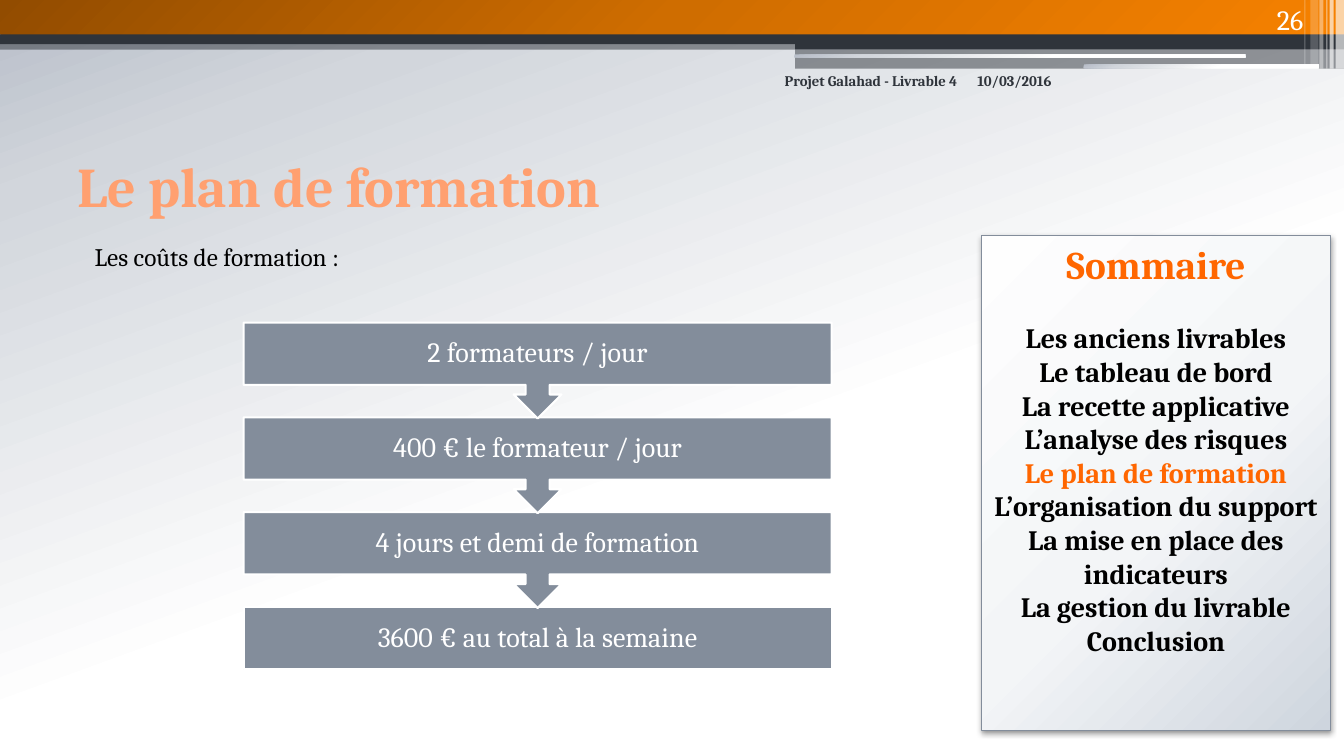
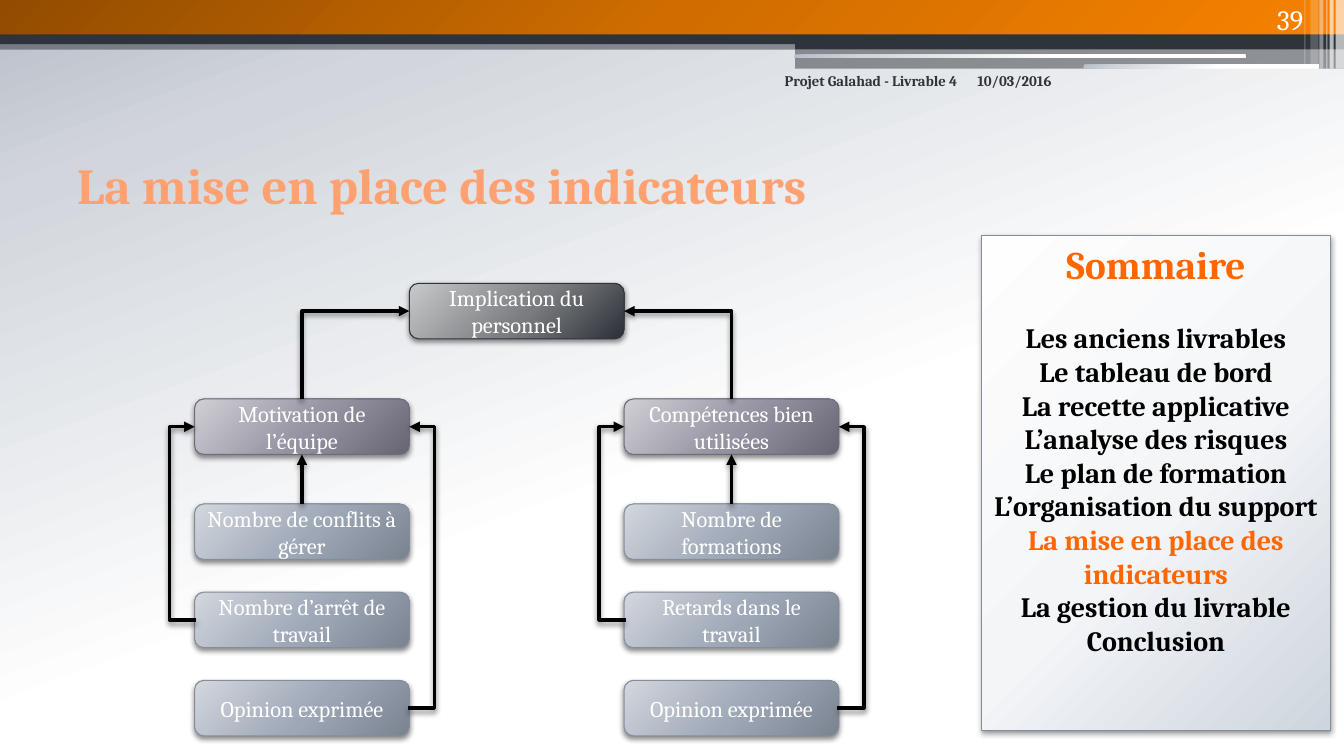
import dataclasses

import lxml.etree
import pptx
import pptx.dml.color
import pptx.enum.shapes
import pptx.enum.text
import pptx.oxml
import pptx.oxml.ns
import pptx.util

Pt = pptx.util.Pt
SHAPE = pptx.enum.shapes.MSO_SHAPE
CONNECTOR = pptx.enum.shapes.MSO_CONNECTOR
ALIGN = pptx.enum.text.PP_ALIGN
ANCHOR = pptx.enum.text.MSO_ANCHOR


@dataclasses.dataclass(frozen=True)
class Gradient:
    stops: tuple
    angle: int | None = None  # no angle means radial


@dataclasses.dataclass(frozen=True)
class Theme:
    font: str = "Cambria"
    dark: str = "2F343B"
    steel: str = "838D9B"
    mauve: str = "6F6C7D"
    white: str = "FFFFFF"
    black: str = "000000"
    accent: str = "FF6600"
    title: str = "FFA070"
    title_outline: str = "F68100"
    page: Gradient = Gradient(((0, "B7BDC8"), (16, "D2D6DC"), (58, "FFFFFF")), 70)
    orange: Gradient = Gradient(((0, "924C00"), (50, "CF6D00"), (100, "F68100")), 45)
    panel: Gradient = Gradient(((0, "FEFEFE"), (55, "F3F5F7"), (100, "CED5DE")))
    goal: Gradient = Gradient(((0, "C9C9CA"), (55, "7A7C7F"), (100, "2C3037")))
    factor: Gradient = Gradient(((0, "D0CFD5"), (55, "9491A0"), (100, "676574")))
    measure: Gradient = Gradient(((0, "D3D7DD"), (55, "9DA7B6"), (100, "7A8390")))
    heading_size: int = 28
    list_size: int = 20
    body_size: int = 18
    box_size: int = 16
    footer_size: float = 10.5


THEME = Theme()
AGENDA = (
    "Les anciens livrables", "Le tableau de bord", "La recette applicative",
    "L’analyse des risques", "Le plan de formation", "L’organisation du support",
    "La mise en place des indicateurs", "La gestion du livrable", "Conclusion",
)


# Formatting helpers
def set_values(target, values):
    for name, value in values.items():
        setattr(target, name, value)


def rgb(color):
    return pptx.dml.color.RGBColor.from_string(color)


def add_xml(parent, tag, **attributes):
    element = lxml.etree.SubElement(parent, pptx.oxml.ns.qn(tag))
    for name, value in attributes.items():
        element.set(name, str(value))
    return element


def paint(fill, properties, color, opacity=100):
    """Fill with a colour or a gradient."""
    fill.solid()
    solid = properties.find(pptx.oxml.ns.qn("a:solidFill"))
    if not isinstance(color, Gradient):
        fill.fore_color.rgb = rgb(color)
        if opacity < 100:
            add_xml(solid[0], "a:alpha", val=opacity * 1000)
        return
    gradient = pptx.oxml.parse_xml(
        f'<a:gradFill {pptx.oxml.ns.nsdecls("a")} rotWithShape="1"/>')
    stops = add_xml(gradient, "a:gsLst")
    for position, stop_color in color.stops:
        stop = add_xml(stops, "a:gs", pos=position * 1000)
        add_xml(stop, "a:srgbClr", val=stop_color)
    if color.angle is None:
        radial = add_xml(gradient, "a:path", path="circle")
        add_xml(radial, "a:fillToRect", l=-40000, t=-90000, r=140000, b=190000)
    else:
        add_xml(gradient, "a:lin", ang=color.angle * 60000, scaled=0)
    properties.replace(solid, gradient)


def add_shadow(properties, opacity=45):
    effects = properties.find(pptx.oxml.ns.qn("a:effectLst"))
    if effects is None:
        effects = add_xml(properties, "a:effectLst")
    shadow = add_xml(effects, "a:outerShdw", blurRad=Pt(4), dist=Pt(2),
                     dir=90 * 60000, algn="ctr", rotWithShape=0)
    color = add_xml(shadow, "a:srgbClr", val=THEME.black)
    add_xml(color, "a:alpha", val=opacity * 1000)


def write(paragraph, text, size, color, bold=False, **layout):
    set_values(paragraph, layout)
    run = paragraph.add_run()
    run.text = text
    set_values(run.font, {"name": THEME.font, "size": Pt(size), "bold": bold})
    run.font.color.rgb = rgb(color)
    return run


# Kinds of element
def add_text(slide, box, text, size, color, bold=False,
             align=ALIGN.LEFT, anchor=ANCHOR.TOP):
    frame = slide.shapes.add_textbox(*map(Pt, box)).text_frame
    set_values(frame, {"word_wrap": True, "vertical_anchor": anchor})
    return write(frame.paragraphs[0], text, size, color, bold, alignment=align)


def add_block(slide, box, color, kind=SHAPE.RECTANGLE, opacity=100,
              line=None, line_width=0.75):
    shape = slide.shapes.add_shape(kind, *map(Pt, box))
    shape.shadow.inherit = False
    paint(shape.fill, shape._element.spPr, color, opacity)
    if line:
        shape.line.color.rgb = rgb(line)
        shape.line.width = Pt(line_width)
    else:
        shape.line.fill.background()
    set_values(shape.text_frame, {"word_wrap": True, "vertical_anchor": ANCHOR.MIDDLE})
    return shape


def add_box(slide, box, text, color, line):
    shape = add_block(slide, box, color, SHAPE.ROUNDED_RECTANGLE, line=line)
    add_shadow(shape._element.spPr)
    write(shape.text_frame.paragraphs[0], text, THEME.box_size, THEME.white,
          alignment=ALIGN.CENTER)
    return shape


def add_arrow(slide, kind, begin, end, preset=None, bend=None):
    """Draw a line whose arrowhead is at its beginning."""
    connector = slide.shapes.add_connector(kind, *map(Pt, begin + end))
    connector.line.color.rgb = rgb(THEME.black)
    connector.line.width = Pt(2.5)
    properties = connector._element.spPr
    add_xml(connector.line._get_or_add_ln(), "a:headEnd", type="triangle")
    geometry = properties.find(pptx.oxml.ns.qn("a:prstGeom"))
    if preset:
        geometry.set("prst", preset)
    if bend is not None:
        guides = geometry.find(pptx.oxml.ns.qn("a:avLst"))
        if guides is None:
            guides = add_xml(geometry, "a:avLst")
        add_xml(guides, "a:gd", name="adj1", fmla=f"val {bend * 100000}")
    add_shadow(properties)
    return connector


# Shared parts
def decorate_layout(layout, slide):
    """Put the page gradient, bands and stripes on the layout."""
    tree = layout.element.cSld.spTree
    for placeholder in list(layout.placeholders):
        tree.remove(placeholder._element)
    fill = layout.background.fill
    fill.solid()
    paint(fill, layout.element.cSld.bg.bgPr, THEME.page)
    plain, rounded = SHAPE.RECTANGLE, SHAPE.ROUNDED_RECTANGLE
    bands = [
        ((0, 29, 960, 6.5), THEME.dark, plain, 50),
        ((0, 0, 960, 24.5), THEME.orange, plain, 100),
        ((0, 24.5, 960, 7), THEME.dark, plain, 100),
        ((568, 28, 392, 7), THEME.dark, plain, 100),
        ((568, 35, 392, 14), THEME.dark, plain, 50),
        ((567.5, 38.8, 322, 2.4), THEME.page, rounded, 100),
        ((774, 46, 168, 2.8), THEME.page, rounded, 100),
    ]
    stripes = [(954, 6, 49, 65), (949.7, 2.9, 49, 65), (947.5, 0.7, 49, 60),
               (942.5, 2.9, 49, 40), (936, 5.8, 46, 20), (931.7, 0.7, 46, 30)]
    bands += [((left, 0, width, height), THEME.white, plain, opacity)
              for left, width, height, opacity in stripes]
    for band in bands:
        tree.append(add_block(slide, *band)._element)


def add_frame(slide, title, title_size, number):
    """Add the title, footer, page number and agenda panel."""
    run = add_text(slide, (48, 90, 641.5, 84), title, title_size, THEME.title,
                   bold=True, anchor=ANCHOR.MIDDLE)
    outline = pptx.oxml.parse_xml(
        f'<a:ln {pptx.oxml.ns.nsdecls("a")} w="{Pt(1)}"/>')
    add_xml(add_xml(outline, "a:solidFill"), "a:srgbClr", val=THEME.title_outline)
    run.font._element.insert(0, outline)

    footer = (THEME.footer_size, THEME.dark, True)
    add_text(slide, (691, 48, 101, 36), "10/03/2016", *footer)
    add_text(slide, (552, 48, 139, 36), "Projet Galahad - Livrable 4", *footer,
             align=ALIGN.RIGHT)
    add_text(slide, (858, 0, 80, 29), number, THEME.list_size, THEME.white,
             align=ALIGN.RIGHT, anchor=ANCHOR.BOTTOM)

    panel = add_block(slide, (701, 168, 249.5, 353.5), THEME.panel, line=THEME.steel)
    add_shadow(panel._element.spPr, 40)
    frame = panel.text_frame
    frame.vertical_anchor = ANCHOR.TOP
    write(frame.paragraphs[0], "Sommaire", THEME.heading_size, THEME.accent, True,
          alignment=ALIGN.CENTER, space_after=Pt(24))
    for entry in AGENDA:
        color = THEME.accent if entry == title else THEME.black
        write(frame.add_paragraph(), entry, THEME.list_size, color, True,
              alignment=ALIGN.CENTER)


# Slide contents
def add_cost_steps(slide):
    steps = ("2 formateurs / jour", "400 € le formateur / jour",
             "4 jours et demi de formation", "3600 € au total à la semaine")
    left, top, width, pitch, box_height, arrow_height = 174, 230.4, 420, 67.7, 44.5, 68.5
    for index, text in reversed(list(enumerate(steps))):
        last = index == len(steps) - 1
        kind = SHAPE.RECTANGLE if last else SHAPE.DOWN_ARROW_CALLOUT
        height = box_height if last else arrow_height
        step = add_block(slide, (left, top + index * pitch, width, height), THEME.steel,
                         kind, line=THEME.white, line_width=1.5)
        write(step.text_frame.paragraphs[0], text, THEME.list_size, THEME.white,
              alignment=ALIGN.CENTER, line_spacing=0.9)
    add_text(slide, (60.5, 168.5, 213, 29), "Les coûts de formation :",
             THEME.body_size, THEME.black)


def add_indicator_tree(slide):
    branches = (
        ("Motivation de l’équipe", "Nombre de conflits à gérer",
         "Nombre d’arrêt de travail", "Opinion exprimée"),
        ("Compétences bien utilisées", "Nombre de formations",
         "Retards dans le travail", "Opinion exprimée"),
    )
    left, width, height = 139, 153.4, 39.6
    goal_top, factor_top, measure_top, pitch = 202.4, 285, 360, 63
    middle = height / 2
    factor_middle = factor_top + middle
    goal_left = left + width
    add_box(slide, (goal_left, goal_top, width, height),
            "Implication du personnel", THEME.goal, THEME.dark)
    for side, (factor_text, *measure_texts) in enumerate(branches):
        x = left + 2 * side * width
        factor = add_box(slide, (x, factor_top, width, height), factor_text,
                         THEME.factor, THEME.mauve)
        measures = [add_box(slide, (x, measure_top + row * pitch, width, height), text,
                            THEME.measure, THEME.steel)
                    for row, text in enumerate(measure_texts)]
        # Factor to goal
        add_arrow(slide, CONNECTOR.ELBOW, (goal_left + side * width, goal_top + middle),
                  (x + width / 2, factor_top), preset="bentConnector2")
        # First measure rises straight, the others go round a side
        riser = add_arrow(slide, CONNECTOR.STRAIGHT, (x, factor_top), (x, measure_top))
        riser.begin_connect(factor, 2)
        riser.end_connect(measures[0], 0)
        for row, edge, inward in ((1, x, 1), (2, x + width, -1)):
            add_arrow(slide, CONNECTOR.ELBOW, (edge, factor_middle),
                      (edge + inward, measure_top + row * pitch + middle), bend=-18)


def main():
    presentation = pptx.Presentation()
    set_values(presentation, {"slide_width": Pt(960), "slide_height": Pt(540)})
    layout = presentation.slide_layouts[6]
    pages = (("Le plan de formation", 40, "26", add_cost_steps),
             ("La mise en place des indicateurs", 36, "39", add_indicator_tree))
    for index, (title, title_size, number, add_content) in enumerate(pages):
        slide = presentation.slides.add_slide(layout)
        if index == 0:
            decorate_layout(layout, slide)
        add_frame(slide, title, title_size, number)
        add_content(slide)
    presentation.save("out.pptx")


if __name__ == "__main__":
    main()
